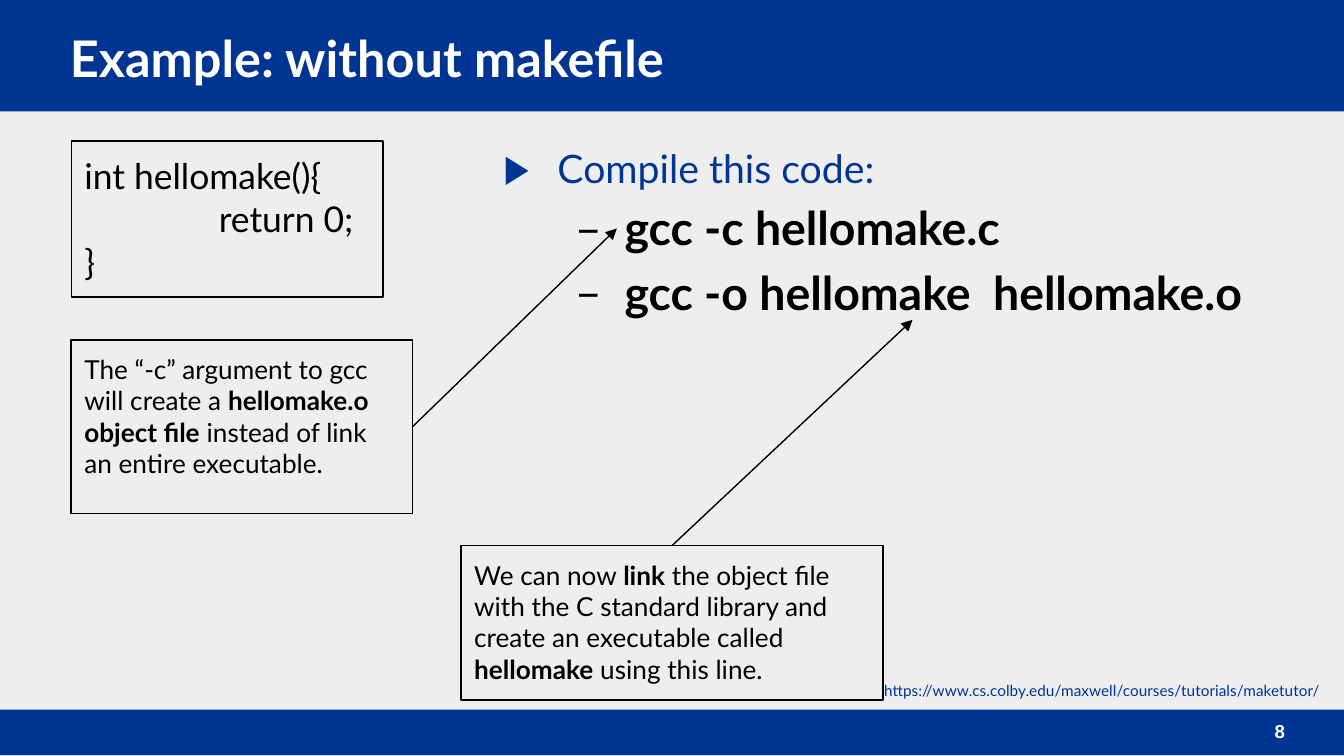
import pptx
import pptx.dml.color
import pptx.enum.shapes
import pptx.enum.text
import pptx.oxml.ns
import pptx.util
from lxml import etree

Inches = pptx.util.Inches
Pt = pptx.util.Pt
Align = pptx.enum.text.PP_ALIGN
Anchor = pptx.enum.text.MSO_ANCHOR
qn = pptx.oxml.ns.qn


def color(text):
    return pptx.dml.color.RGBColor.from_string(text)


def write(para, text, size=14, font="Lato", ink="000000", bold=False):
    span = para.add_run()
    span.text = text
    span.font.size = Pt(size)
    span.font.name = font
    span.font.color.rgb = color(ink)
    span.font.bold = bold


def add_bullet(para, mark, ink, left, hanging):
    properties = para._p.get_or_add_pPr()
    properties.set("marL", str(Inches(left)))
    properties.set("indent", str(-Inches(hanging)))
    tint = etree.SubElement(properties, qn("a:buClr"))
    etree.SubElement(tint, qn("a:srgbClr"), val=ink)
    etree.SubElement(properties, qn("a:buFont"), typeface="Lato")
    etree.SubElement(properties, qn("a:buChar"), char=mark)


def add_tab(para, position):
    tabs = etree.SubElement(para._p.get_or_add_pPr(), qn("a:tabLst"))
    etree.SubElement(tabs, qn("a:tab"), pos=str(Inches(position)), algn="l")


class Slide:
    blue = "003594"
    black = "000000"
    white = "FFFFFF"
    gray = "EEEEEE"

    def __init__(self, deck):
        self.page = deck.slides.add_slide(deck.slide_layouts[5])
        fill = self.page.background.fill
        fill.solid()
        fill.fore_color.rgb = color(self.gray)

    def place(self, left, top, width, height):
        return [Inches(value) for value in (left, top, width, height)]

    def frame(self, shape, anchor=Anchor.TOP):
        frame = shape.text_frame
        frame.word_wrap = True
        frame.auto_size = pptx.enum.text.MSO_AUTO_SIZE.NONE
        frame.vertical_anchor = anchor
        frame.margin_left = frame.margin_right = Inches(0.1)
        frame.margin_top = frame.margin_bottom = Inches(0.1)
        return frame

    def rectangle(self, *place):
        kind = pptx.enum.shapes.MSO_SHAPE.RECTANGLE
        shape = self.page.shapes.add_shape(kind, *self.place(*place))
        shape.shadow.inherit = False
        return shape

    def band(self, top, height):
        shape = self.rectangle(0, top, 10, height)
        shape.fill.solid()
        shape.fill.fore_color.rgb = color(self.blue)
        shape.line.fill.background()

    def title(self, text, *place):
        shape = self.page.shapes.title
        shape.left, shape.top, shape.width, shape.height = self.place(*place)
        self.page.shapes._spTree.append(shape._element)
        para = self.frame(shape, Anchor.MIDDLE).paragraphs[0]
        para.alignment = Align.LEFT
        write(para, text, size=27, ink=self.white, bold=True)

    def text(self, *place, anchor=Anchor.TOP):
        box = self.page.shapes.add_textbox(*self.place(*place))
        return self.frame(box, anchor)

    def outlined(self, place, lines, size=14, tab=None):
        box = self.rectangle(*place)
        box.fill.background()
        box.line.color.rgb = color(self.black)
        box.line.width = Pt(0.75)
        frame = self.frame(box)
        for index, spans in enumerate(lines):
            para = frame.add_paragraph() if index else frame.paragraphs[0]
            para.alignment = Align.LEFT
            if tab:
                add_tab(para, tab)
            for text, bold in spans:
                write(para, text, size=size, bold=bold)
        return box

    def arrow(self, box, side, left, top):
        kind = pptx.enum.shapes.MSO_CONNECTOR.STRAIGHT
        line = self.page.shapes.add_connector(kind, 0, 0, Inches(left), Inches(top))
        line.begin_connect(box, side)
        line.line.color.rgb = color(self.black)
        line.line.width = Pt(0.75)
        etree.SubElement(line.line._get_or_add_ln(), qn("a:tailEnd"), type="triangle")
        etree.SubElement(line._element.spPr, qn("a:effectLst"))


def main():
    deck = pptx.Presentation()
    deck.slide_width = Inches(10)
    deck.slide_height = deck.slide_width * 9 // 16
    slide = Slide(deck)

    slide.band(0, 0.83)
    slide.band(5.28, 0.34)
    number = slide.text(9.06, 5.27, 0.6, 0.34, anchor=Anchor.MIDDLE).paragraphs[0]
    number.alignment = Align.RIGHT
    write(number, "8", size=10, font="Arial", ink=slide.white, bold=True)
    slide.title("Example: without makefile", 0.42, 0.18, 9.24, 0.5)

    steps = slide.text(3.55, 0.92, 6.37, 2.32)
    heading = steps.paragraphs[0]
    heading.line_spacing = 1.15
    add_bullet(heading, "▶", slide.blue, 0.5, 0.4)
    write(heading, "Compile this code:", size=21, ink=slide.blue)
    for command in ("gcc -c hellomake.c", "gcc -o hellomake  hellomake.o"):
        para = steps.add_paragraph()
        para.level = 1
        para.line_spacing = 1.15
        add_bullet(para, "–", slide.black, 1, 0.37)
        write(para, command, size=24.9, bold=True)

    link = slide.text(6.48, 5.03, 3.93, 0.1).paragraphs[0]
    link.line_spacing = 0.95
    address = "https://www.cs.colby.edu/maxwell/courses/tutorials/maketutor/"
    write(link, address, size=8.25, ink=slide.blue)

    compile_note = slide.outlined((0.53, 2.53, 2.54, 1.29), [[
        ("The “-c” argument to gcc will create a ", False),
        ("hellomake.o object file", True),
        (" instead of link an entire executable.", False),
    ]])
    code = ("int hellomake(){", "\treturn 0;", "}")
    code_lines = [[(line, False)] for line in code]
    slide.outlined((0.53, 1.05, 2.32, 1.16), code_lines, size=19, tab=1)
    slide.arrow(compile_note, 3, 4.59, 1.7)
    link_note = slide.outlined((3.43, 4.06, 3.14, 1.15), [[
        ("We can now ", False),
        ("link", True),
        (" the object file with the C standard library and create an executable called ", False),
        ("hellomake", True),
        (" using this line.", False),
    ]])
    slide.arrow(link_note, 0, 6.79, 2.38)
    deck.save("out.pptx")


if __name__ == "__main__":
    main()
